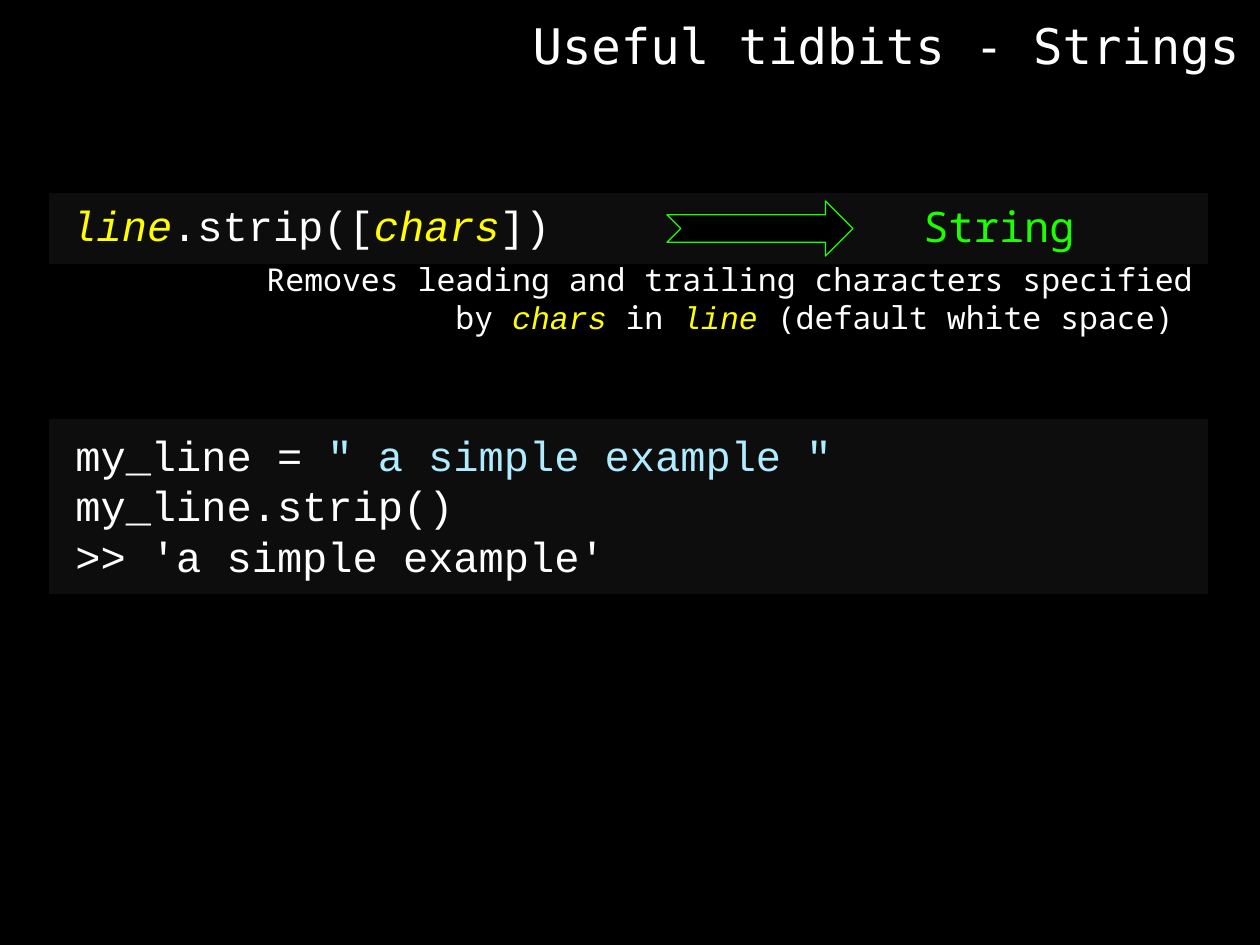
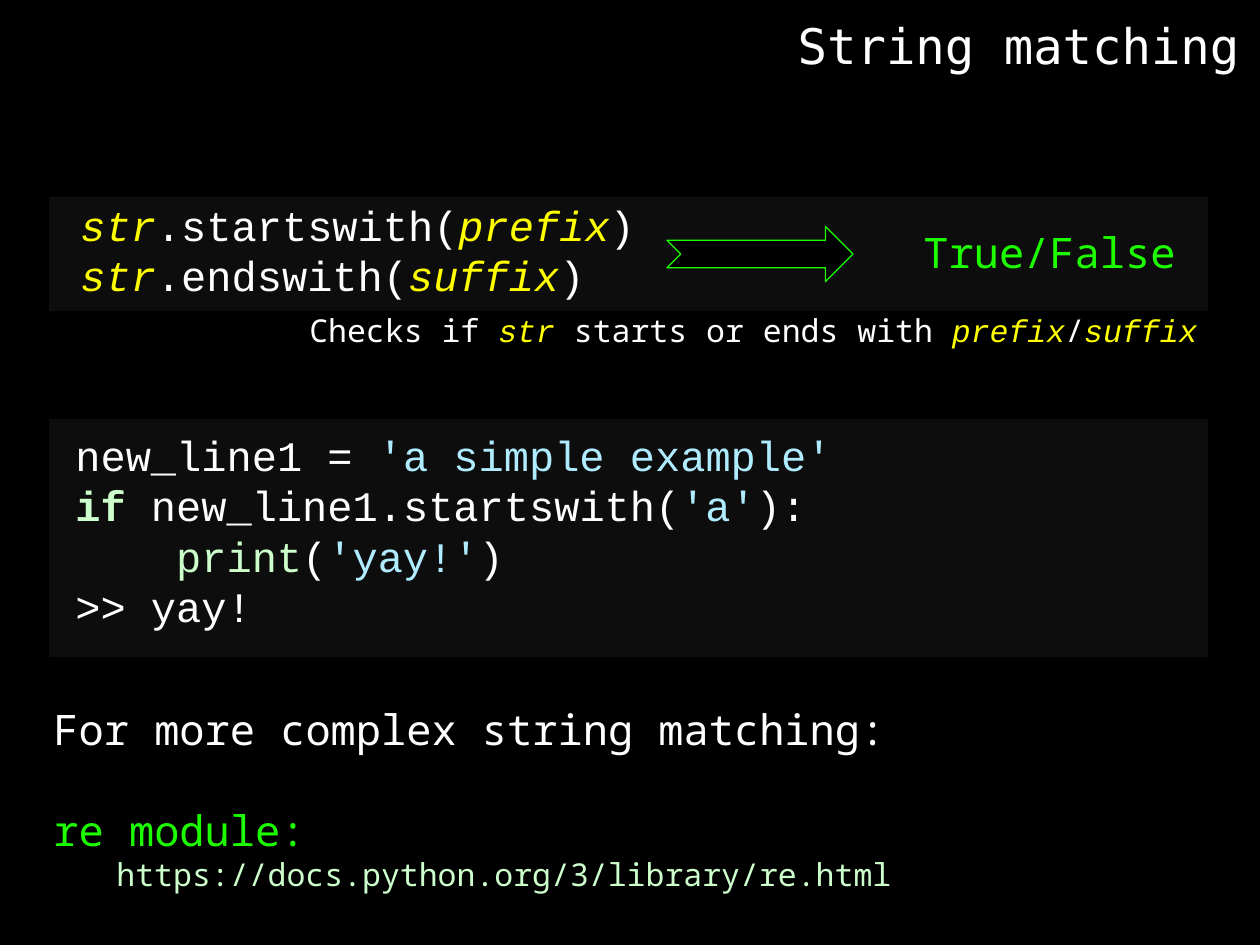
from dataclasses import dataclass

from pptx import Presentation
from pptx.dml.color import RGBColor
from pptx.enum.shapes import MSO_SHAPE as Shape
from pptx.enum.text import PP_ALIGN as Align
from pptx.util import Emu, Pt

BLACK = RGBColor(0x00, 0x00, 0x00)
PANEL = RGBColor(0x0D, 0x0D, 0x0D)
WHITE = RGBColor(0xFF, 0xFF, 0xFF)
YELLOW = RGBColor(0xFF, 0xFF, 0x00)
GREEN = RGBColor(0x1D, 0xFF, 0x00)
PALE_GREEN = RGBColor(0xCC, 0xFF, 0xCC)
PALE_BLUE = RGBColor(0xAF, 0xEC, 0xFF)

CODE_FONT = "Courier New"
TEXT_FONT = "Noto Sans Mono"
TITLE_FONT = "DejaVu Sans Mono"

SLIDE_WIDTH, SLIDE_HEIGHT = 1260, 945
PANEL_LEFT, PANEL_WIDTH = 49, 1159
ARROW_WIDTH, ARROW_HEIGHT = 186, 55


@dataclass(frozen=True)
class Style:
    font: str
    color: RGBColor
    size: int = 24
    italic: bool = False
    bold: bool = False


TITLE = Style(TITLE_FONT, WHITE, 28)
CODE = Style(CODE_FONT, WHITE)
ARGUMENT = Style(CODE_FONT, YELLOW, italic=True)
LITERAL = Style(CODE_FONT, PALE_BLUE)
KEYWORD = Style(CODE_FONT, PALE_GREEN, bold=True)
BUILTIN = Style(CODE_FONT, PALE_GREEN)
RESULT = Style(TEXT_FONT, GREEN)
BODY = Style(TEXT_FONT, WHITE)
NOTE = Style(TEXT_FONT, WHITE, 18)
NOTE_ARGUMENT = Style(CODE_FONT, YELLOW, 18, italic=True)
LINK = Style(TEXT_FONT, PALE_GREEN, 18)


def px(length):
    return Emu(round(length * 914400 / 126))


def add_text(slide, box, lines, align=Align.LEFT):
    text_frame = slide.shapes.add_textbox(*map(px, box)).text_frame
    text_frame.word_wrap = True
    for index, line in enumerate(lines):
        paragraph = text_frame.add_paragraph() if index else text_frame.paragraphs[0]
        paragraph.alignment = align
        for text, style in line:
            run = paragraph.add_run()
            run.text = text
            run.font.name = style.font
            run.font.size = Pt(style.size)
            run.font.color.rgb = style.color
            run.font.italic = style.italic
            run.font.bold = style.bold
    return text_frame


def add_block(slide, kind, box, fill, line=None):
    shape = slide.shapes.add_shape(kind, *map(px, box))
    shape.shadow.inherit = False
    shape.fill.solid()
    shape.fill.fore_color.rgb = fill
    if line is None:
        shape.line.fill.background()
    else:
        shape.line.color.rgb = line
        shape.line.width = Pt(0.75)


def add_titled_slide(presentation, title):
    slide = presentation.slides.add_slide(presentation.slide_layouts[6])
    slide.background.fill.solid()
    slide.background.fill.fore_color.rgb = BLACK
    add_text(slide, (400, 9, 852, 72), [[(title, TITLE)]], Align.RIGHT)
    return slide


def add_signature(slide, band, code_offset, code, result, note_box, note):
    left, top, width, height = band
    middle = top + height / 2
    add_block(slide, Shape.RECTANGLE, band, PANEL)
    code_left, code_top = code_offset
    add_text(slide, (left + code_left, top + code_top, 600, height), code)
    arrow = (left + 618, middle - ARROW_HEIGHT / 2, ARROW_WIDTH, ARROW_HEIGHT)
    add_block(slide, Shape.NOTCHED_RIGHT_ARROW, arrow, BLACK, GREEN)
    add_text(slide, (left + 862, middle - 34, 290, 63), [[(result, RESULT)]])
    note_left, note_top, note_width, note_height = note_box
    add_text(slide, (left + note_left, top + note_top, note_width, note_height),
             [note], Align.RIGHT)


def add_example(slide, panel, code):
    left, top, width, height = panel
    add_block(slide, Shape.RECTANGLE, panel, PANEL)
    add_text(slide, (left + 14, top + 4, width - 28, height - 8), code)


def add_further_reading(slide, box):
    text_frame = add_text(slide, box, [
        [("For more complex string matching:", BODY)],
        [("re module:", RESULT)],
        [("https://docs.python.org/3/library/re.html", LINK)],
    ])
    module, link = text_frame.paragraphs[1:]
    module.space_before = Pt(29)
    link.level = 1
    link._p.get_or_add_pPr().set("marL", str(px(63)))


def build_strip_slide(presentation):
    slide = add_titled_slide(presentation, "Useful tidbits - Strings")
    add_signature(
        slide, (PANEL_LEFT, 193, PANEL_WIDTH, 71), (10, 0),
        [[("line", ARGUMENT), (".strip([", CODE), ("chars", ARGUMENT), ("])", CODE)]],
        "String", (187, 61, 969, 89),
        [("Removes leading and trailing characters specified by ", NOTE),
         ("chars ", NOTE_ARGUMENT), ("in ", NOTE), ("line", NOTE_ARGUMENT),
         (" (default white space) ", NOTE)])
    add_example(slide, (PANEL_LEFT, 419, PANEL_WIDTH, 175), [
        [("my_line = ", CODE), ('" a simple example "', LITERAL)],
        [("my_line.strip()", CODE)],
        [(">> 'a simple example'", CODE)],
    ])


def build_matching_slide(presentation):
    slide = add_titled_slide(presentation, "String matching")
    calls = [(".startswith(", "prefix"), (".endswith(", "suffix")]
    add_signature(
        slide, (PANEL_LEFT, 197, PANEL_WIDTH, 114), (19, -4),
        [[("str", ARGUMENT), (method, CODE), (argument, ARGUMENT), (")", CODE)]
         for method, argument in calls],
        "True/False", (231, 108, 930, 50),
        [("Checks if ", NOTE), ("str ", NOTE_ARGUMENT),
         ("starts or ends with ", NOTE), ("prefix", NOTE_ARGUMENT),
         ("/", NOTE), ("suffix ", NOTE_ARGUMENT)])
    add_example(slide, (PANEL_LEFT, 419, PANEL_WIDTH, 238), [
        [("new_line1 = ", CODE), ("'a simple example'", LITERAL)],
        [("if ", KEYWORD), ("new_line1.startswith(", CODE), ("'a'", LITERAL), ("):", CODE)],
        [("    ", CODE), ("print", BUILTIN), ("(", CODE), ("'yay!'", LITERAL), (")", CODE)],
        [(">> yay!", CODE)],
    ])
    add_further_reading(slide, (41, 697, 874, 204))


def main():
    presentation = Presentation()
    presentation.slide_width = px(SLIDE_WIDTH)
    presentation.slide_height = px(SLIDE_HEIGHT)
    build_strip_slide(presentation)
    build_matching_slide(presentation)
    presentation.save("out.pptx")


if __name__ == "__main__":
    main()
